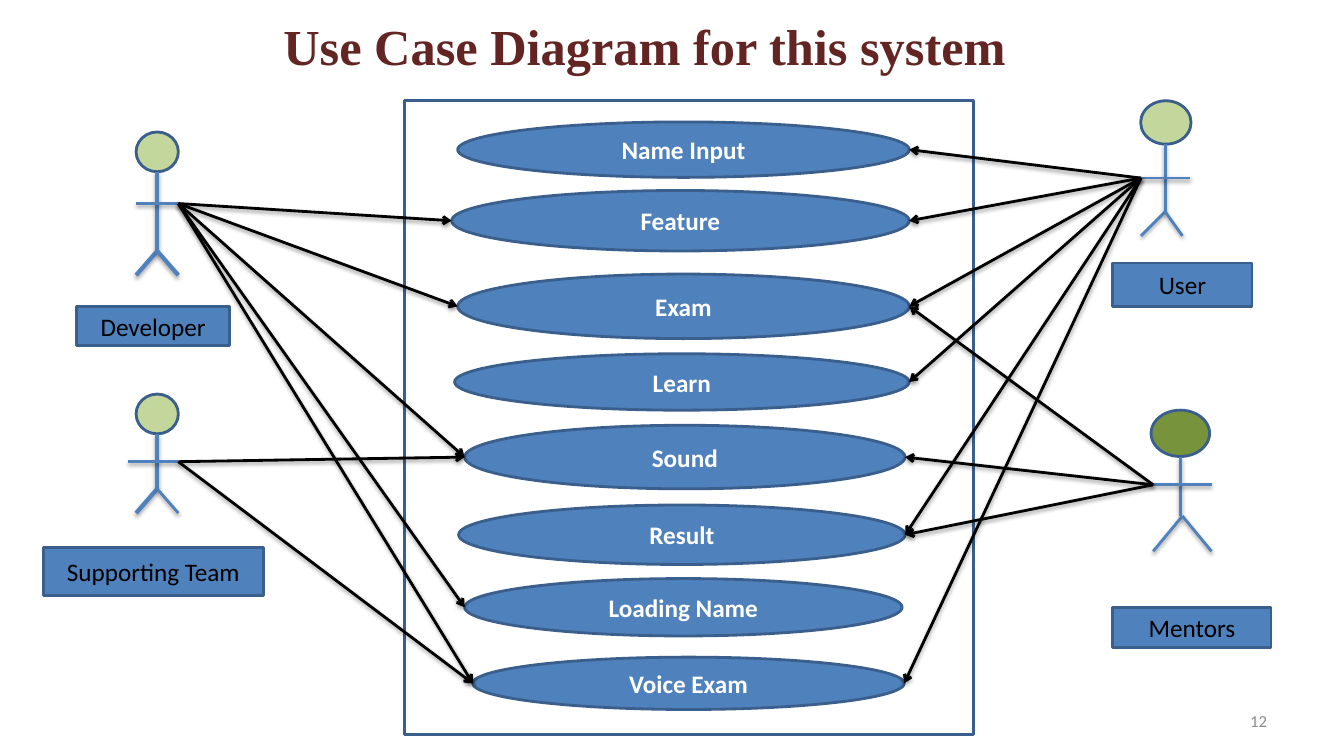
from lxml.etree import SubElement
from pptx import Presentation
from pptx.dml.color import RGBColor
from pptx.enum.shapes import MSO_CONNECTOR, MSO_SHAPE
from pptx.enum.text import MSO_ANCHOR, PP_ALIGN
from pptx.oxml.ns import qn
from pptx.util import Pt

# Content: lengths in points, boxes as left, top, width, height
TITLE = "Use Case Diagram for this system"
TITLE_BOX = (75.6, 0, 769.7, 57.6)
PAGE_NUMBER = "12"
PAGE_NUMBER_BOX = (688.3, 500.4, 223.9, 28.8)
SYSTEM_BOX = (288.7, 72, 406.8, 452.9)

USE_CASES = {
    "Name Input": (326.9, 87.1, 322.6, 39.6),
    "Feature": (322.6, 136.1, 326.9, 43.2),
    "Exam": (326.9, 195.8, 322.6, 46.1),
    "Learn": (324.7, 252.7, 324.7, 40.3),
    "Sound": (331.9, 303.8, 314.6, 45.4),
    "Result": (327.6, 360.7, 319, 42.5),
    "Loading Name": (331.9, 413.3, 312.5, 41),
    "Voice Exam": (337.7, 469.4, 308.2, 37.4),
}

# arms: left, right, y; feet: left, right, y; widths: body, arms, left leg, right leg
ACTORS = [
    {"name": "Developer", "label": (54.7, 218.9, 109.4, 28.1), "side": "left",
     "head": (97.2, 94.3, 30.2, 28.4), "color": "C3D69B", "neck": 112.3,
     "hip": (112.3, 179.3), "arms": (97.2, 127.4, 145.4),
     "feet": (97.2, 127.4, 196.6), "widths": (3, 2, 3, 3),
     "uses": ["Feature", "Exam", "Sound", "Loading Name", "Voice Exam"]},
    {"name": "Supporting Team", "label": (31, 391, 157, 34.6), "side": "left",
     "head": (97.2, 281.5, 30.2, 28.4), "color": "C3D69B", "neck": 112.3,
     "hip": (112.3, 349.2), "arms": (91.4, 127.4, 329.8),
     "feet": (97.2, 127.4, 366.5), "widths": (3, 2, 3, 2),
     "uses": ["Voice Exam", "Sound"]},
    {"name": "User", "label": (794.9, 187.9, 99.4, 31), "side": "right",
     "head": (814.8, 72, 36, 31), "color": "C3D69B", "neck": 832.3,
     "hip": (832.3, 151.2), "arms": (815, 850.3, 127.2),
     "feet": (815, 844.6, 168.5), "widths": (2, 2, 2, 2),
     "uses": ["Name Input", "Feature", "Exam", "Learn", "Result", "Voice Exam"]},
    {"name": "Mentors", "label": (794.9, 434.2, 113, 28.1), "side": "right",
     "head": (822.2, 293, 41.8, 33.1), "color": "77933C", "neck": 843.1,
     "hip": (844.6, 368.6), "arms": (823.7, 865.4, 346.3),
     "feet": (823.7, 865.4, 393.8), "widths": (2, 2, 2, 2),
     "uses": ["Exam", "Result", "Sound"]},
]

# Formats
BLUE, OUTLINE, BLACK = "4F81BD", "3A5F8C", "000000"
TITLE_FONT = {"name": "Times New Roman", "size": Pt(36), "bold": True, "color": "632523"}
CASE_FONT = {"name": "Calibri", "size": Pt(18), "bold": True, "color": "FFFFFF"}
LABEL_FONT = {"name": "Calibri", "size": Pt(18), "bold": False, "color": BLACK}
NUMBER_FONT = {"name": "Calibri", "size": Pt(12), "bold": False, "color": "8C8C8C"}
# Shadow opacity in percent and distance in points, by line width
SHADOWS = {2: (38, 1.6), 3: (35, 1.8)}


def rgb(color):
    return RGBColor.from_string(color)


def write(shape, text, font, align=PP_ALIGN.CENTER, anchor=MSO_ANCHOR.MIDDLE):
    frame = shape.text_frame
    frame.word_wrap = True
    frame.vertical_anchor = anchor
    paragraph = frame.paragraphs[0]
    paragraph.alignment = align
    run = paragraph.add_run()
    run.text = text
    for key, value in font.items():
        if key == "color":
            run.font.color.rgb = rgb(value)
        else:
            setattr(run.font, key, value)


def add_box(kind, box, fill=None):
    shape = slide.shapes.add_shape(kind, *map(Pt, box))
    shape.shadow.inherit = False
    if fill:
        shape.fill.solid()
        shape.fill.fore_color.rgb = rgb(fill)
    else:
        shape.fill.background()
    shape.line.color.rgb = rgb(OUTLINE)
    shape.line.width = Pt(2)
    return shape


def add_text(box, *text_and_format):
    write(slide.shapes.add_textbox(*map(Pt, box)), *text_and_format)


def add_line(start, end, color=BLUE, width=2, arrow=False):
    connector = slide.shapes.add_connector(
        MSO_CONNECTOR.STRAIGHT, *map(Pt, (*start, *end)))
    connector.line.color.rgb = rgb(color)
    connector.line.width = Pt(width)
    properties = connector._element.spPr
    if arrow:
        SubElement(properties.find(qn("a:ln")), qn("a:tailEnd"), type="arrow")
    opacity, distance = SHADOWS[width]
    effects = SubElement(properties, qn("a:effectLst"))
    shadow = SubElement(effects, qn("a:outerShdw"), blurRad=str(Pt(3.1)),
                        dist=str(Pt(distance)), dir="5400000", rotWithShape="0")
    shadow_color = SubElement(shadow, qn("a:srgbClr"), val=BLACK)
    SubElement(shadow_color, qn("a:alpha"), val=str(opacity * 1000))


def draw_actor(actor):
    left, top, width, height = actor["head"]
    arm_left, arm_right, arm_y = actor["arms"]
    foot_left, foot_right, foot_y = actor["feet"]
    neck, hip = actor["neck"], actor["hip"]
    add_box(MSO_SHAPE.OVAL, actor["head"], actor["color"])
    limbs = [
        ((neck, top + height), (neck, hip[1])),
        ((arm_left, arm_y), (arm_right, arm_y)),
        (hip, (foot_left, foot_y)),
        (hip, (foot_right, foot_y)),
    ]
    for (start, end), line_width in zip(limbs, actor["widths"]):
        add_line(start, end, width=line_width)
    label = add_box(MSO_SHAPE.RECTANGLE, actor["label"], BLUE)
    write(label, actor["name"], LABEL_FONT)


def draw_uses(actor):
    arm_left, arm_right, arm_y = actor["arms"]
    on_left = actor["side"] == "left"
    hand = (arm_right if on_left else arm_left, arm_y)
    for name in actor["uses"]:
        left, top, width, height = USE_CASES[name]
        target = (left if on_left else left + width, top + height / 2)
        add_line(hand, target, BLACK, arrow=True)


presentation = Presentation()
presentation.slide_width, presentation.slide_height = Pt(960), Pt(540)
slide = presentation.slides.add_slide(presentation.slide_layouts[6])

# Title, system boundary and use cases
add_text(TITLE_BOX, TITLE, TITLE_FONT, PP_ALIGN.CENTER, MSO_ANCHOR.BOTTOM)
add_box(MSO_SHAPE.RECTANGLE, SYSTEM_BOX)
for case_name, case_box in USE_CASES.items():
    write(add_box(MSO_SHAPE.OVAL, case_box, BLUE), case_name, CASE_FONT)

# Actors, then the arrows to what they use
for actor in ACTORS:
    draw_actor(actor)
for actor in ACTORS:
    draw_uses(actor)

# Page number
add_text(PAGE_NUMBER_BOX, PAGE_NUMBER, NUMBER_FONT, PP_ALIGN.RIGHT)

presentation.save("out.pptx")
